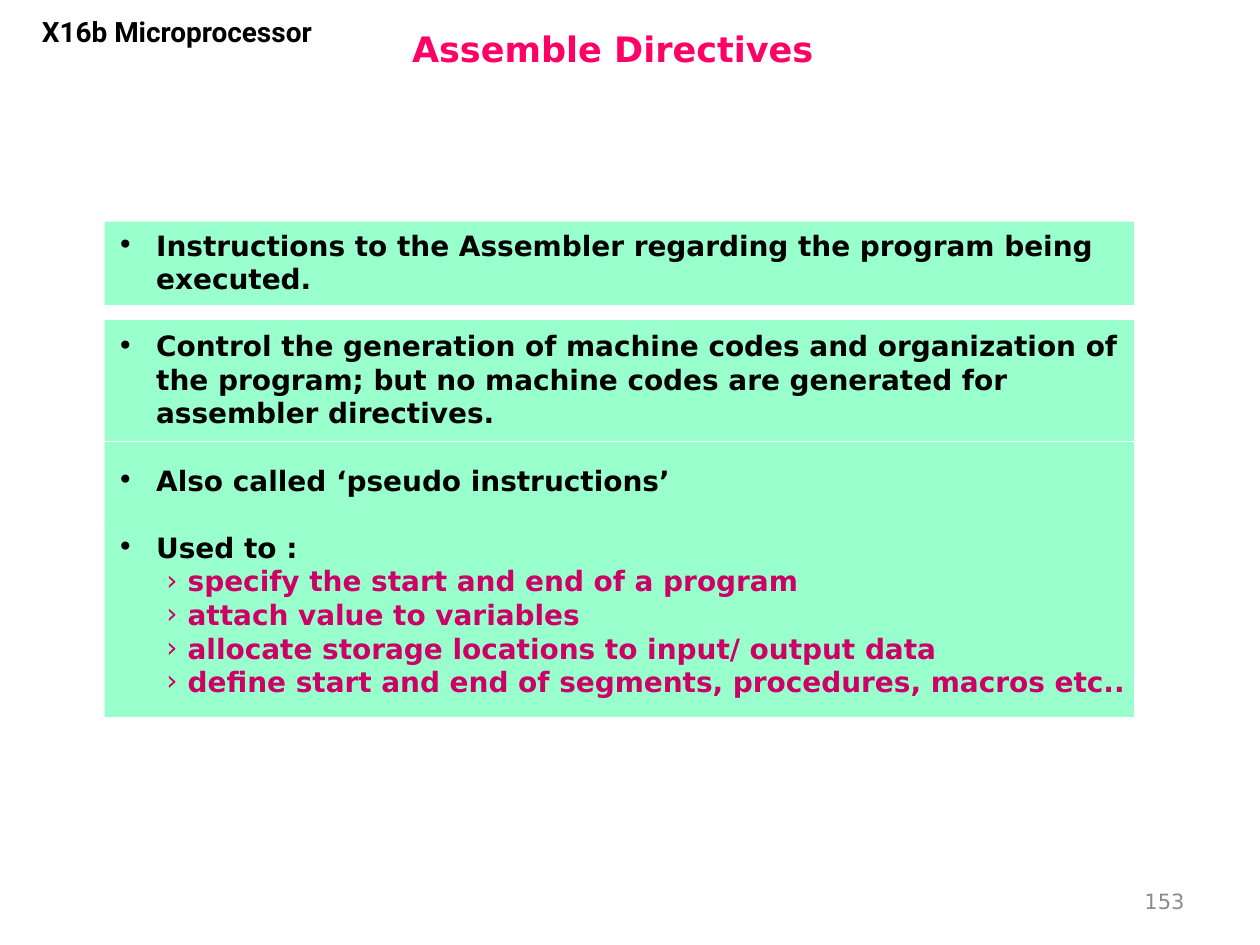
from dataclasses import dataclass

from lxml.etree import SubElement
from pptx import Presentation
from pptx.dml.color import RGBColor as RGB
from pptx.enum.shapes import MSO_SHAPE as SHAPE
from pptx.enum.text import MSO_ANCHOR as ANCHOR, MSO_AUTO_SIZE as AUTO, PP_ALIGN as ALIGN
from pptx.oxml.ns import qn
from pptx.util import Inches, Pt


@dataclass(frozen=True)
class Theme:
    font: str = "DejaVu Sans"
    header_font: str = "Roboto"
    panel: RGB = RGB(0x99, 0xFF, 0xCC)
    title: RGB = RGB(0xFF, 0x00, 0x66)
    accent: RGB = RGB(0xCC, 0x00, 0x66)
    ink: RGB = RGB(0x00, 0x00, 0x00)
    muted: RGB = RGB(0x8B, 0x8B, 0x8B)
    title_size: Pt = Pt(20)
    body_size: Pt = Pt(16)
    number_size: Pt = Pt(12)
    leading: Pt = Pt(19.2)


class SlideBuilder:
    def __init__(self, slide, theme):
        self.s = slide
        self.theme = theme

    def place(self, sp, left, top, width, height, anchor):
        sp.left, sp.top = Inches(left), Inches(top)
        sp.width, sp.height = Inches(width), Inches(height)
        tf = sp.text_frame
        tf.word_wrap = True
        tf.auto_size = AUTO.NONE
        tf.vertical_anchor = anchor
        return tf

    def run(self, p, text, size, color, bold=True, font=None):
        r = p.add_run()
        r.text = text
        r.font.name = font or self.theme.font
        r.font.size = size
        r.font.bold = bold
        r.font.color.rgb = color

    def panel(self, left, top, width, height):
        sp = self.s.shapes.add_shape(
            SHAPE.RECTANGLE, Inches(left), Inches(top), Inches(width), Inches(height))
        sp.shadow.inherit = False
        sp.fill.solid()
        sp.fill.fore_color.rgb = self.theme.panel
        sp.line.fill.background()
        sp.element.getparent().insert(2, sp.element)

    def title(self, text, *box):
        p = self.place(self.s.shapes.title, *box, ANCHOR.MIDDLE).paragraphs[0]
        p.alignment = ALIGN.LEFT
        self.run(p, text, self.theme.title_size, self.theme.title)

    def label(self, text, *box, align, anchor, size, color, bold=False, font=None):
        sp = self.s.shapes.add_textbox(0, 0, 0, 0)
        p = self.place(sp, *box, anchor).paragraphs[0]
        p.alignment = align
        self.run(p, text, size, color, bold, font)

    def bullet(self, p, char, margin, hanging, color):
        pPr = p._p.get_or_add_pPr()
        pPr.set("marL", str(Inches(margin)))
        pPr.set("indent", str(-Inches(hanging)))
        clr = SubElement(pPr, qn("a:buClr"))
        SubElement(clr, qn("a:srgbClr"), val=str(color))
        SubElement(pPr, qn("a:buSzPct"), val="100000")
        SubElement(pPr, qn("a:buFont"), typeface=self.theme.font)
        SubElement(pPr, qn("a:buChar"), char=char)

    def bullets(self, points, details, *box):
        t = self.theme
        tf = self.place(self.s.placeholders[1], *box, ANCHOR.TOP)
        items = [(text, "•", 0.31, 0.31, t.ink, t.leading) for text in points]
        items += [(text, "›", 0.56, 0.17, t.accent, Pt(0)) for text in details]
        for i, (text, char, margin, hanging, color, gap) in enumerate(items):
            p = tf.add_paragraph() if i else tf.paragraphs[0]
            self.bullet(p, char, margin, hanging, color)
            p.alignment = ALIGN.LEFT
            p.line_spacing = t.leading
            p.space_before = gap if i else Pt(0)
            p.space_after = Pt(0)
            self.run(p, text, t.body_size, color)


def main():
    prs = Presentation()
    prs.slide_width, prs.slide_height = Inches(10), Inches(7.5)
    theme = Theme()
    b = SlideBuilder(prs.slides.add_slide(prs.slide_layouts[1]), theme)

    for top, height in ((1.76, 0.66), (2.54, 0.96), (3.51, 0.66), (4.14, 1.55)):
        b.panel(0.83, top, 8.17, height)

    b.title("Assemble Directives", 3.17, 0.12, 6.58, 0.53)
    b.label("153", 7.17, 6.95, 2.33, 0.4, align=ALIGN.RIGHT, anchor=ANCHOR.MIDDLE,
            size=theme.number_size, color=theme.muted)
    b.label("X16b Microprocessor", 0.07, 0.07, 2.67, 0.63, align=ALIGN.CENTER,
            anchor=ANCHOR.TOP, size=theme.body_size, color=theme.ink, bold=True,
            font=theme.header_font)
    b.bullets(
        ["Instructions to the Assembler regarding the program being executed.",
         "Control the generation of machine codes and organization of the program; "
         "but no machine codes are generated for assembler directives.",
         "Also called ‘pseudo instructions’",
         "Used to :"],
        ["specify the start and end of a program",
         "attach value to variables",
         "allocate storage locations to input/ output data",
         "define start and end of segments, procedures, macros etc.."],
        0.83, 1.76, 8.58, 4.36)

    prs.save("out.pptx")


if __name__ == "__main__":
    main()
